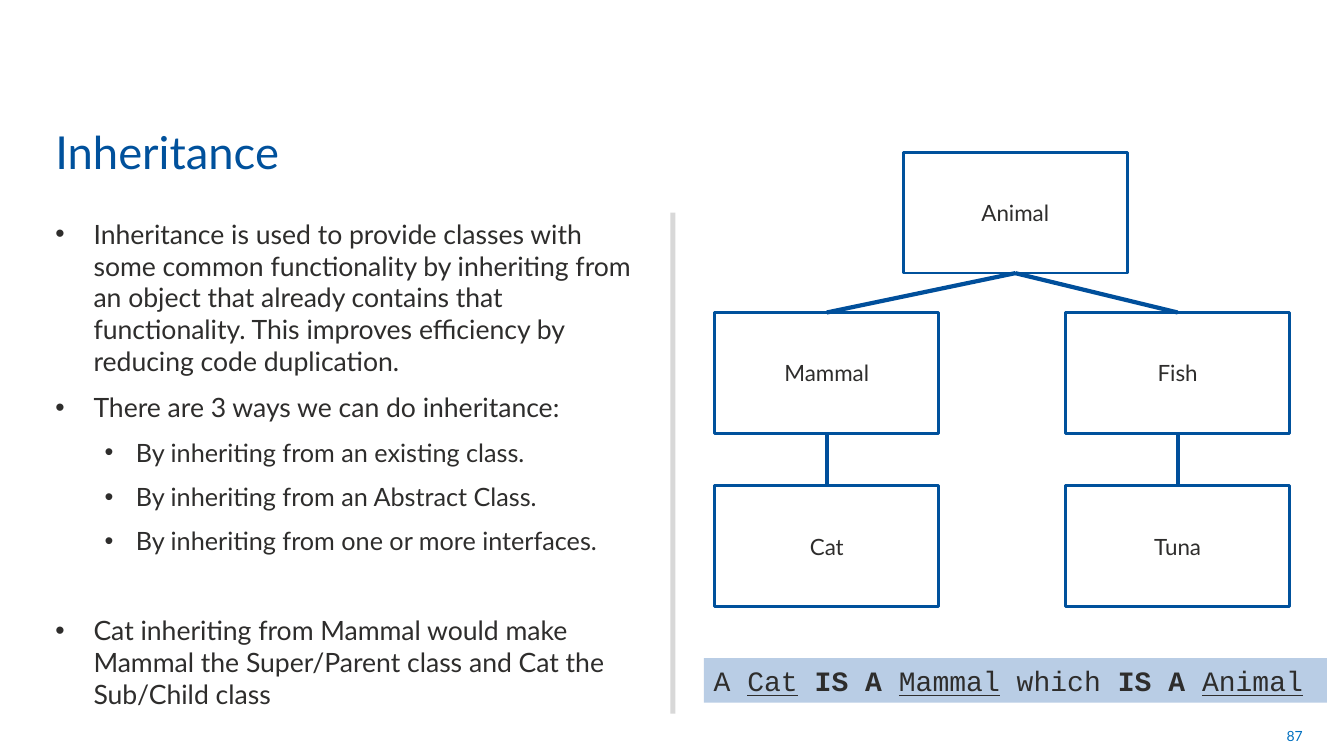
from pptx import Presentation
from pptx.util import Inches as In, Pt
from pptx.dml.color import RGBColor as RGB
from pptx.enum.shapes import MSO_SHAPE as Shape, MSO_CONNECTOR as Conn
from pptx.enum.text import PP_ALIGN as Align, MSO_ANCHOR as Anchor
from pptx.oxml.ns import qn
from lxml.etree import SubElement as Sub

NAVY = RGB(0x00, 0x51, 0x9C)
EDGE = RGB(0x00, 0x4F, 0x9B)
LINK = RGB(0x00, 0x70, 0xC0)
INK = RGB(0x2E, 0x2D, 0x2C)
GREY = RGB(0xD8, 0xD8, 0xD8)
BAND = RGB(0xB9, 0xCD, 0xE5)
WHITE = RGB(0xFF, 0xFF, 0xFF)

TITLE = "Inheritance"
PAGE = "87"

# level, space before in points, text
POINTS = [
    (0, 0, "Inheritance is used to provide classes with some common functionality "
           "by inheriting from an object that already contains that functionality. "
           "This improves efficiency by reducing code duplication."),
    (0, 10, "There are 3 ways we can do inheritance:"),
    (1, 10, "By inheriting from an existing class."),
    (1, 10, "By inheriting from an Abstract Class."),
    (1, 10, "By inheriting from one or more interfaces."),
    (0, 41.6, "Cat inheriting from Mammal would make Mammal the Super/Parent class "
              "and Cat the Sub/Child class"),
]
# level: text size, left margin, hanging indent
LEVELS = {0: (19, 0.38, 0.38), 1: (18, 0.8, 0.31)}

# name: column, row
NODES = {"Animal": (1, 0), "Mammal": (0, 1), "Fish": (2, 1),
         "Cat": (0, 2), "Tuna": (2, 2)}
EDGES = [("Animal", "Mammal"), ("Animal", "Fish"),
         ("Mammal", "Cat"), ("Fish", "Tuna")]
COLS = (7.09, 8.96, 10.57)
ROWS = (1.51, 3.1, 4.82)
NODE_W, NODE_H = 2.22, 1.2

CLAIM = [("A ", {}), ("Cat", {"underline": True}), (" ", {}),
         ("IS A ", {"bold": True}), ("Mammal", {"underline": True}),
         (" which ", {}), ("IS A ", {"bold": True}),
         ("Animal", {"underline": True})]

LEFT, TOP, TALL = 0.45, 2.11, 4.97

deck = Presentation()
deck.slide_width, deck.slide_height = In(13.33), In(7.5)
slide = deck.slides.add_slide(deck.slide_layouts[6])
shapes = slide.shapes


def write(para, text, size, color=INK, name="Lato", **style):
    run = para.add_run()
    run.text = text
    run.font.color.rgb = color
    for key, val in {"size": Pt(size), "name": name, **style}.items():
        setattr(run.font, key, val)


def text_box(spot, anchor=Anchor.TOP):
    frame = shapes.add_textbox(*map(In, spot)).text_frame
    frame.word_wrap = True
    frame.vertical_anchor = anchor
    return frame


def block(spot, fill, line=None):
    """Add a plain rectangle, outlined only when a line colour is given."""
    box = shapes.add_shape(Shape.RECTANGLE, *map(In, spot))
    box.shadow.inherit = False
    box.fill.solid()
    box.fill.fore_color.rgb = fill
    if line is None:
        box.line.fill.background()
    else:
        box.line.color.rgb = line
        box.line.width = Pt(2)
    return box


def bullet(para, left, hang):
    props = para._p.get_or_add_pPr()
    props.set("marL", str(In(left)))
    props.set("indent", str(-In(hang)))
    Sub(Sub(props, qn("a:buClr")), qn("a:srgbClr")).set("val", str(INK))
    Sub(props, qn("a:buFont")).set("typeface", "Arial")
    Sub(props, qn("a:buChar")).set("char", "•")


def join(above, below):
    """Link the bottom of one node to the top of another."""
    link = shapes.add_connector(Conn.STRAIGHT, 0, 0, 0, 0)
    link.begin_connect(above, 2)
    link.end_connect(below, 0)
    link.line.color.rgb = EDGE
    link.line.width = Pt(3)
    Sub(link._element.spPr, qn("a:effectLst"))


page = text_box((9.91, 7.1, 3.11, 0.4), Anchor.MIDDLE).paragraphs[0]
page.alignment = Align.RIGHT
write(page, PAGE, 10, LINK)

block((6.65, TOP, 0.05, TALL), GREY)

body = text_box((LEFT, TOP, 6.1, TALL))
for i, (level, gap, text) in enumerate(POINTS):
    para = body.add_paragraph() if i else body.paragraphs[0]
    size, left, hang = LEVELS[level]
    para.level = level
    para.space_before = Pt(gap)
    bullet(para, left, hang)
    write(para, text, size)

title = text_box((LEFT, 1.13, 9.98, 0.69), Anchor.BOTTOM)
write(title.paragraphs[0], TITLE, 32.4, NAVY)

tree = {}
for name, (col, row) in NODES.items():
    node = block((COLS[col], ROWS[row], NODE_W, NODE_H), WHITE, NAVY)
    node.text_frame.vertical_anchor = Anchor.MIDDLE
    para = node.text_frame.paragraphs[0]
    para.alignment = Align.CENTER
    write(para, name, 16)
    tree[name] = node

for above, below in EDGES:
    join(tree[above], tree[below])

claim = block((6.98, 6.53, 6.18, 0.44), BAND).text_frame
claim.vertical_anchor = Anchor.TOP
claim.word_wrap = True
line = claim.paragraphs[0]
line.alignment = Align.LEFT
for text, style in CLAIM:
    write(line, text, 20, name="Courier New", **style)

deck.save("out.pptx")
